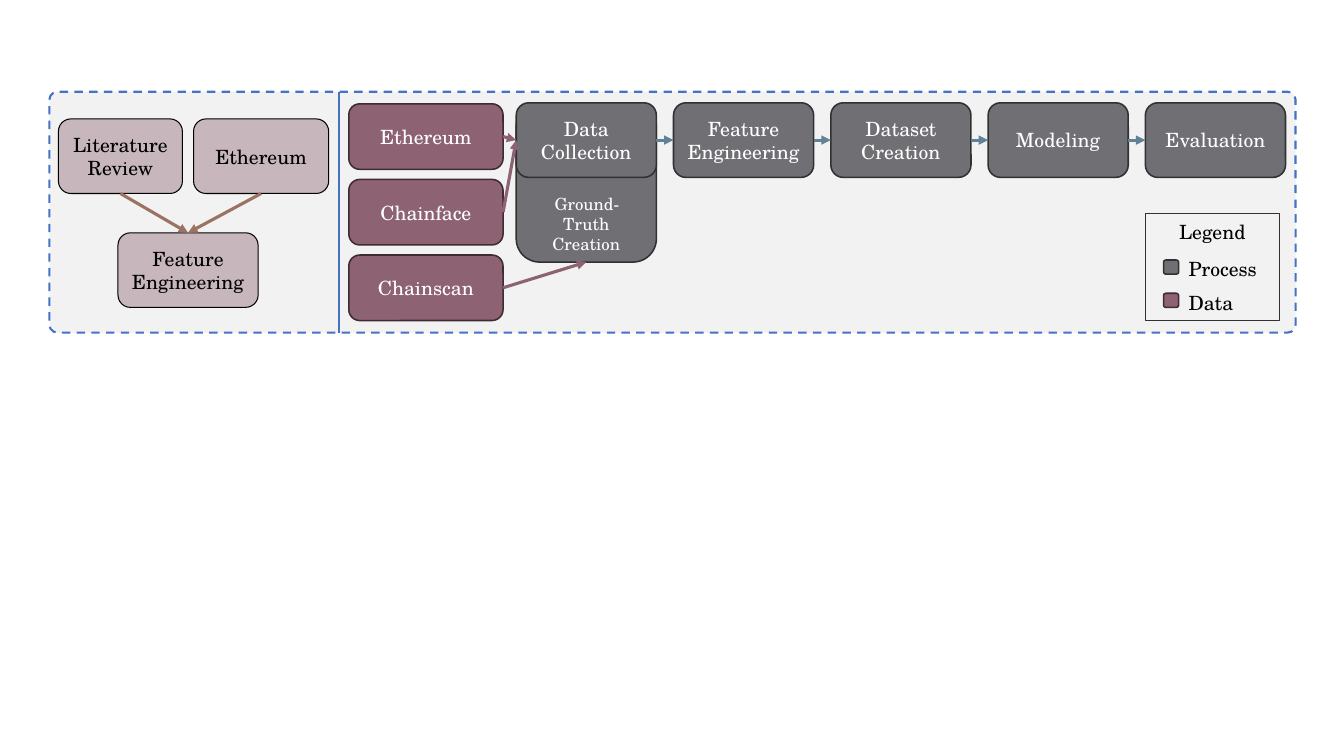
"""Build a slide showing a feature engineering and modeling pipeline."""
import pptx
import pptx.util
import pptx.dml.color
import pptx.enum.dml
import pptx.enum.shapes
import pptx.enum.text
import pptx.oxml.ns
import pptx.oxml.xmlchemy

Inches = pptx.util.Inches
Pt = pptx.util.Pt
SHAPE = pptx.enum.shapes.MSO_SHAPE
ALIGN = pptx.enum.text.PP_ALIGN
ANCHOR = pptx.enum.text.MSO_ANCHOR

FONT = "TeX Gyre Schola"
COLORS = {
    "panel": "F2F2F2", "frame": "4472C4", "process": "6F6F74", "process_edge": "313133",
    "data": "8D6374", "data_edge": "3E2B33", "study": "C7B6BC", "black": "000000",
    "white": "FFFFFF", "flow": "618197", "study_arrow": "9B7362",
}
STYLES = {
    "process": ("process", "process_edge", 1.1, "white"),
    "data": ("data", "data_edge", 1.1, "white"),
    "study": ("study", "black", 0.75, "black"),
}
STEPS = ["Data Collection", "Feature Engineering", "Dataset Creation", "Modeling", "Evaluation"]
SOURCES = ["Ethereum", "Chainface", "Chainscan"]
STUDY = [
    ("Literature Review", 0.58, 1.18, 1.23),
    ("Ethereum", 1.92, 1.18, 1.34),
    ("Feature Engineering", 1.17, 2.31, 1.39),
]
LEGEND = [("Process", "process", 2.58, 9.6), ("Data", "data", 2.91, 7.2)]

PANEL = (0.49, 0.91, 12.36, 2.39)
DIVIDER_X = 3.36
STEP_LEFT, STEP_TOP, STEP_PITCH = 5.12, 1.02, 1.56
STEP_WIDTH, STEP_HEIGHT = 1.39, 0.74
TRUTH_HEIGHT = 1.58
SOURCE_LEFT, SOURCE_TOP, SOURCE_PITCH = 3.46, 1.03, 0.75
SOURCE_WIDTH, SOURCE_HEIGHT = 1.53, 0.65
LEGEND_BOX = (11.36, 2.12, 1.33, 1.06)
TOP, LEFT, BOTTOM, RIGHT = range(4)

presentation = pptx.Presentation()
presentation.slide_width = Inches(13.33)
presentation.slide_height = Inches(7.5)
slide = presentation.slides.add_slide(presentation.slide_layouts[6])


def color(name):
    return pptx.dml.color.RGBColor.from_string(COLORS[name])


def add_box(place, fill, edge, weight, kind=SHAPE.ROUNDED_RECTANGLE):
    shape = slide.shapes.add_shape(kind, *map(Inches, place))
    shape.shadow.inherit = False
    if fill:
        shape.fill.solid()
        shape.fill.fore_color.rgb = color(fill)
    else:
        shape.fill.background()
    shape.line.color.rgb = color(edge)
    shape.line.width = Pt(weight)
    return shape


def write(paragraph, text, ink, size=14, align=ALIGN.CENTER):
    paragraph.alignment = align
    run = paragraph.add_run()
    run.text = text
    run.font.name = FONT
    run.font.size = Pt(size)
    run.font.color.rgb = color(ink)


def add_node(text, place, style, size=14, side=0.05):
    fill, edge, weight, ink = STYLES[style]
    shape = add_box(place, fill, edge, weight)
    frame = shape.text_frame
    frame.word_wrap = True
    frame.vertical_anchor = ANCHOR.MIDDLE
    frame.margin_left = frame.margin_right = Inches(side)
    write(frame.paragraphs[0], text, ink, size)
    return shape


def add_line(start, end, ink, weight):
    points = [Inches(value) for value in (*start, *end)]
    line = slide.shapes.add_connector(pptx.enum.shapes.MSO_CONNECTOR.STRAIGHT, *points)
    line.line.color.rgb = color(ink)
    line.line.width = Pt(weight)
    line._element.spPr.append(pptx.oxml.xmlchemy.OxmlElement("a:effectLst"))
    return line


def add_arrow(origin, origin_site, target, target_site, ink):
    arrow = add_line((0, 0), (0, 0), ink, 2.25)
    arrow.begin_connect(origin, origin_site)
    arrow.end_connect(target, target_site)
    head = pptx.oxml.xmlchemy.OxmlElement("a:tailEnd")
    head.set("type", "triangle")
    arrow._element.spPr.find(pptx.oxml.ns.qn("a:ln")).append(head)


def add_legend():
    box = add_box(LEGEND_BOX, None, "process_edge", 1.1, SHAPE.RECTANGLE)
    frame = box.text_frame
    frame.word_wrap = True
    frame.vertical_anchor = ANCHOR.MIDDLE
    write(frame.paragraphs[0], "Legend", "black")
    for label, style, top, gap in LEGEND:
        paragraph = frame.add_paragraph()
        paragraph.space_before = Pt(gap)
        paragraph._p.get_or_add_pPr().set("marL", str(Inches(0.33)))
        write(paragraph, label, "black", align=ALIGN.LEFT)
        add_box((11.54, top, 0.15, 0.14), *STYLES[style][:3])


def main():
    panel = add_box(PANEL, "panel", "frame", 1.5)
    panel.adjustments[0] = 0.033
    panel.line.dash_style = pptx.enum.dml.MSO_LINE.DASH

    truth = add_node("Ground-Truth Creation", (STEP_LEFT, STEP_TOP, STEP_WIDTH, TRUTH_HEIGHT),
                     "process", 12, 0.15)
    truth.text_frame.vertical_anchor = ANCHOR.BOTTOM
    truth.text_frame.margin_bottom = Inches(0.01)
    add_legend()

    steps = [
        add_node(text, (STEP_LEFT + index * STEP_PITCH, STEP_TOP, STEP_WIDTH, STEP_HEIGHT), "process")
        for index, text in enumerate(STEPS)
    ]
    for origin, target in zip(steps, steps[1:]):
        add_arrow(origin, RIGHT, target, LEFT, "flow")

    sources = [
        add_node(text, (SOURCE_LEFT, SOURCE_TOP + index * SOURCE_PITCH, SOURCE_WIDTH, SOURCE_HEIGHT), "data")
        for index, text in enumerate(SOURCES)
    ]
    for source in sources[:2]:
        add_arrow(source, RIGHT, steps[0], LEFT, "data")
    add_arrow(sources[2], RIGHT, truth, BOTTOM, "data")

    *inputs, result = [
        add_node(text, (left, top, width, STEP_HEIGHT), "study") for text, left, top, width in STUDY
    ]
    panel_top, panel_height = PANEL[1], PANEL[3]
    add_line((DIVIDER_X, panel_top), (DIVIDER_X, panel_top + panel_height), "frame", 1.5)
    for origin in inputs:
        add_arrow(origin, BOTTOM, result, TOP, "study_arrow")

    presentation.save("out.pptx")


if __name__ == "__main__":
    main()
